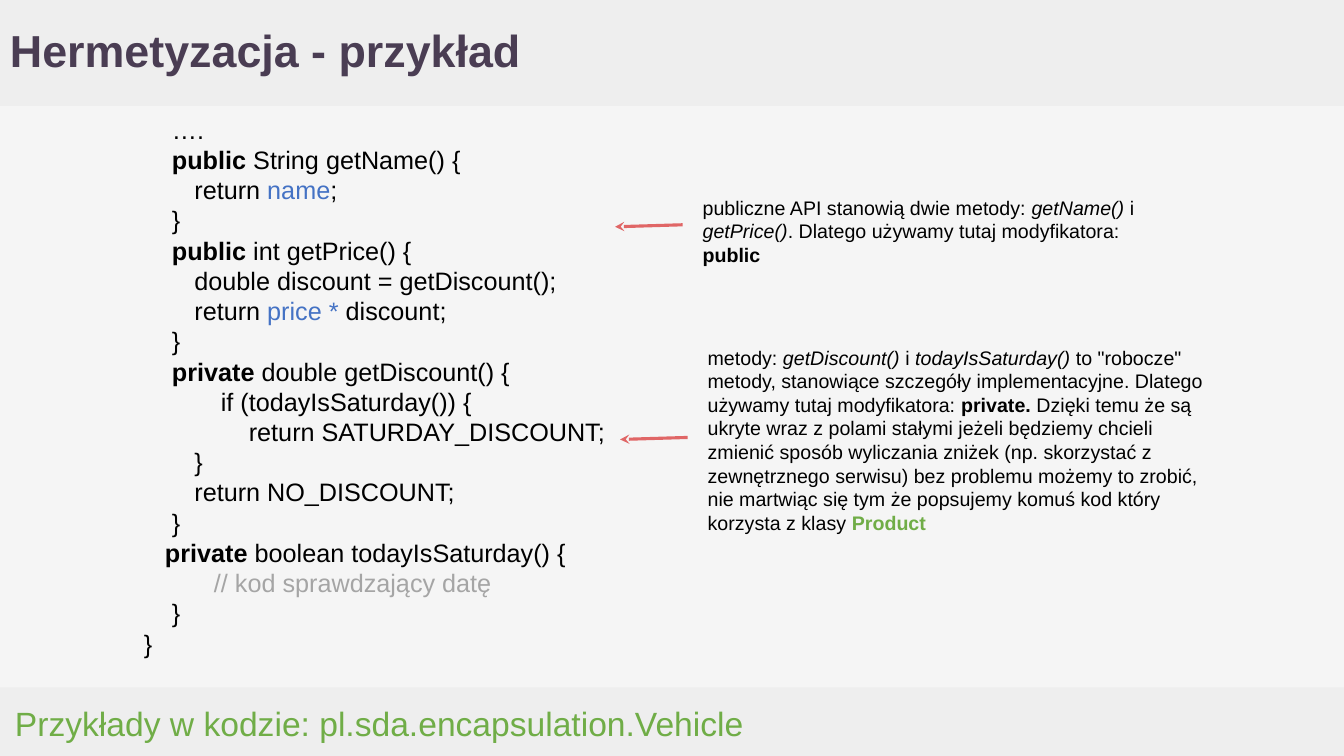
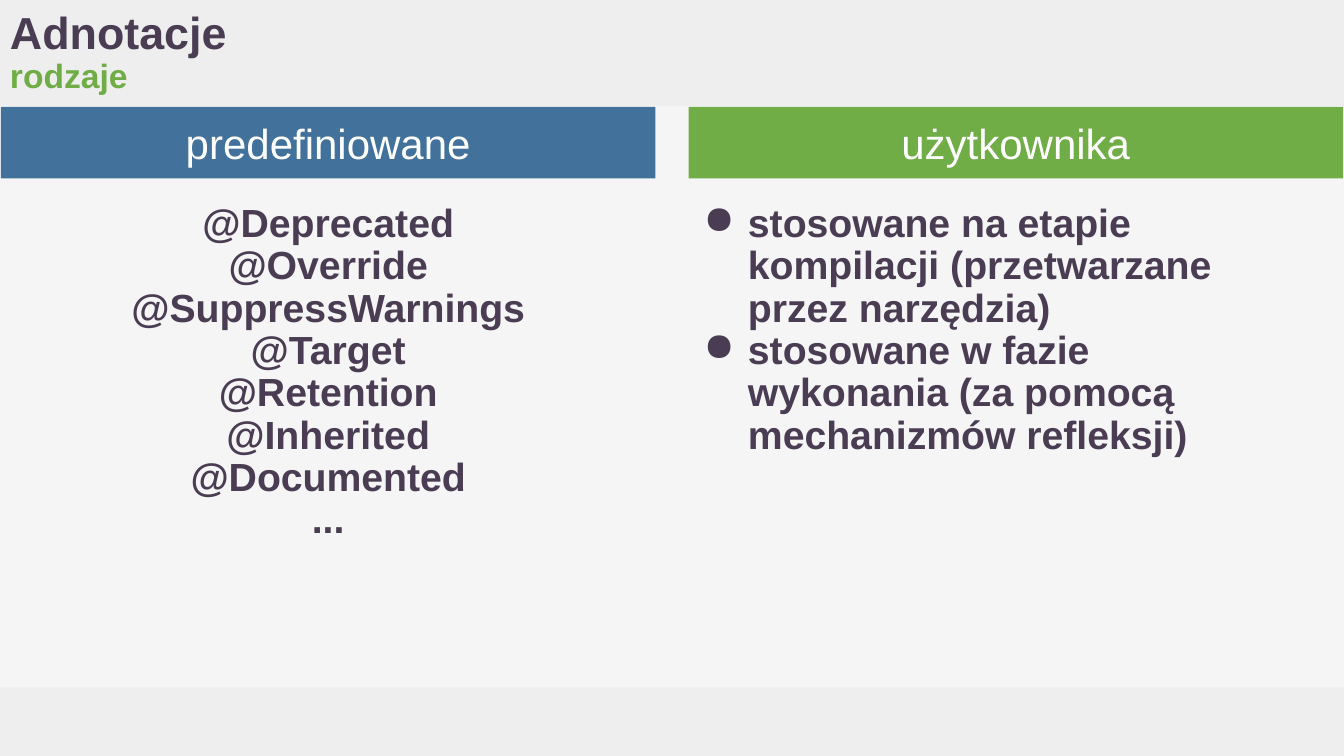
from lxml import etree
from pptx import Presentation
from pptx.dml.color import RGBColor
from pptx.enum import shapes, text
from pptx.oxml import ns
from pptx.util import Inches, Pt

WIDTH, HEIGHT = 13.33, 7.5
HEADER_H, FOOTER_H = 1.05, 0.68
FONT = "Arial"

PAPER = RGBColor(0xF5, 0xF5, 0xF5)
BAND = RGBColor(0xEE, 0xEE, 0xEE)
PLUM = RGBColor(0x4A, 0x3D, 0x53)
GREEN = RGBColor(0x70, 0xAD, 0x47)
STEEL = RGBColor(0x42, 0x71, 0x9B)
BLUE = RGBColor(0x44, 0x72, 0xC4)
GREY = RGBColor(0xA5, 0xA5, 0xA5)
RED = RGBColor(0xE0, 0x66, 0x66)
BLACK = RGBColor(0, 0, 0)
WHITE = RGBColor(0xFF, 0xFF, 0xFF)

# Run styles that differ from the style of the box
BOLD = {"bold": True}
ITALIC = {"italic": True}
FIELD = {"color": BLUE}
COMMENT = {"color": GREY}
SUBTITLE = {"color": GREEN, "size": 24}
CLASS_NAME = {"color": GREEN, "bold": True}

LEFT, CENTER = text.PP_ALIGN.LEFT, text.PP_ALIGN.CENTER
TOP, MIDDLE = text.MSO_ANCHOR.TOP, text.MSO_ANCHOR.MIDDLE

# A line is a list of runs; a run is a string or a (string, style) pair
CODE = [
    ["    …."],
    ["    ", ("public ", BOLD), "String getName() {"],
    ["\treturn ", ("name", FIELD), ";"],
    ["    }"],
    ["    ", ("public ", BOLD), "int getPrice() {"],
    ["\tdouble discount = getDiscount();"],
    ["\treturn ", ("price * ", FIELD), "discount;"],
    ["    }"],
    ["    ", ("private ", BOLD), "double getDiscount() {"],
    ["           if (todayIsSaturday()) {"],
    ["               return SATURDAY_DISCOUNT;"],
    ["\t}"],
    ["\treturn NO_DISCOUNT;"],
    ["    }"],
    ["   ", ("private ", BOLD), "boolean todayIsSaturday() {"],
    ["          ", ("// kod sprawdzający datę", COMMENT)],
    ["    }"],
    ["}"],
]

PUBLIC_NOTE = [
    "publiczne API stanowią dwie metody: ", ("getName()", ITALIC), " i ",
    ("getPrice()", ITALIC), ". Dlatego używamy tutaj modyfikatora: ",
    ("public", BOLD),
]

PRIVATE_NOTE = [
    "metody: ", ("getDiscount()", ITALIC), " i ",
    ("todayIsSaturday() ", ITALIC),
    "to \"robocze\" metody, stanowiące szczegóły implementacyjne. "
    "Dlatego używamy tutaj modyfikatora: ",
    ("private. ", BOLD),
    "Dzięki temu że są ukryte wraz z polami stałymi jeżeli będziemy chcieli "
    "zmienić sposób wyliczania zniżek (np. skorzystać z zewnętrznego serwisu) "
    "bez problemu możemy to zrobić, nie martwiąc się tym że popsujemy komuś "
    "kod który korzysta z klasy ",
    ("Product", CLASS_NAME),
]

PREDEFINED = [[name] for name in (
    "@Deprecated", "@Override", "@SuppressWarnings", "@Target",
    "@Retention", "@Inherited", "@Documented", "...")]

CUSTOM = [
    ["stosowane na etapie kompilacji (przetwarzane przez narzędzia)"],
    ["stosowane w fazie wykonania (za pomocą mechanizmów refleksji)"],
]


def add_bullet(p, color):
    pPr = p._p.get_or_add_pPr()
    pPr.set("marL", str(Inches(0.5)))
    pPr.set("indent", str(Inches(-0.44)))
    buClr = etree.SubElement(pPr, ns.qn("a:buClr"))
    etree.SubElement(buClr, ns.qn("a:srgbClr"), val=str(color))
    etree.SubElement(pPr, ns.qn("a:buChar"), char="●")


def fill_text(sp, lines, size, color, bold=False, align=LEFT, anchor=TOP,
              spacing=None, bullets=False):
    tf = sp.text_frame
    tf.word_wrap = True
    tf.vertical_anchor = anchor
    tf.margin_left = tf.margin_right = Inches(0.1)
    tf.margin_top = tf.margin_bottom = Inches(0.1)
    for i, line in enumerate(lines):
        p = tf.add_paragraph() if i else tf.paragraphs[0]
        if bullets:
            add_bullet(p, color)
        p.alignment = align
        p.line_spacing = spacing
        for run in line:
            words, style = (run, {}) if isinstance(run, str) else run
            r = p.add_run()
            r.text = words
            r.font.name = FONT
            r.font.size = Pt(style.get("size", size))
            r.font.bold = style.get("bold", bold)
            r.font.italic = style.get("italic", False)
            r.font.color.rgb = style.get("color", color)


def add_text(s, x, y, w, h, lines, size, color, **options):
    sp = s.shapes.add_textbox(Inches(x), Inches(y), Inches(w), Inches(h))
    fill_text(sp, lines, size, color, **options)


def add_rect(s, x, y, w, h, color):
    sp = s.shapes.add_shape(shapes.MSO_SHAPE.RECTANGLE,
                            Inches(x), Inches(y), Inches(w), Inches(h))
    sp.shadow.inherit = False
    sp.fill.solid()
    sp.fill.fore_color.rgb = color
    sp.line.fill.background()
    return sp


def add_arrow(s, x1, y1, x2, y2):
    """Arrow whose head is at its first end."""
    line = s.shapes.add_connector(shapes.MSO_CONNECTOR.STRAIGHT,
                                  Inches(x1), Inches(y1), Inches(x2), Inches(y2))
    line.line.color.rgb = RED
    line.line.width = Pt(2.25)
    etree.SubElement(line.line._get_or_add_ln(), ns.qn("a:headEnd"), type="stealth")
    etree.SubElement(line._element.spPr, ns.qn("a:effectLst"))


def add_slide(prs, title):
    """Blank slide with the shared bands and title."""
    s = prs.slides.add_slide(prs.slide_layouts[6])
    add_rect(s, 0, HEIGHT - FOOTER_H, WIDTH, FOOTER_H, BAND)
    add_rect(s, 0, 0, WIDTH, HEADER_H, BAND)
    add_text(s, 0, 0, 11.92, HEADER_H, title, 32, PLUM,
             bold=True, anchor=MIDDLE, spacing=0.9)
    return s


def add_note(s, x, y, w, h, runs, arrow_y):
    """Remark with an arrow pointing left to the code."""
    add_arrow(s, x - 0.77, y + arrow_y, x - 0.1, y + arrow_y - 0.02)
    add_text(s, x, y, w, h, [runs], 14, BLACK)


def add_column(s, x, y, w, heading, color, lines, body_w, **options):
    """Coloured heading with a list below it."""
    head = add_rect(s, x, y, w, 0.71, color)
    fill_text(head, [[heading]], 30, WHITE, align=CENTER, anchor=MIDDLE)
    add_text(s, x - 0.01, y + 0.86, body_w, 4.73, lines, 28, PLUM,
             bold=True, spacing=0.9, **options)


def encapsulation_slide(prs):
    s = add_slide(prs, [["Hermetyzacja - przykład"]])
    add_text(s, 1.33, 1.03, 5.2, 5.89, CODE, 18, BLACK)
    add_note(s, 6.87, 1.84, 4.49, 0.75, PUBLIC_NOTE, arrow_y=0.41)
    add_note(s, 6.92, 3.33, 5.16, 2.21, PRIVATE_NOTE, arrow_y=1.03)
    add_text(s, 0.05, 6.84, 12.75, 0.66,
             [["Przykłady w kodzie: pl.sda.encapsulation.Vehicle"]],
             24, GREEN, anchor=MIDDLE)


def annotations_slide(prs):
    s = add_slide(prs, [["Adnotacje"], [("rodzaje", SUBTITLE)]])
    margin, column_w = 0.01, 6.49
    add_column(s, margin, 1.06, column_w, "predefiniowane", STEEL,
               PREDEFINED, 6.51, align=CENTER)
    add_column(s, WIDTH - margin - column_w, 1.06, column_w, "użytkownika", GREEN,
               CUSTOM, 6.14, bullets=True)


def main():
    prs = Presentation()
    prs.slide_width, prs.slide_height = Inches(WIDTH), Inches(HEIGHT)
    background = prs.slide_master.background.fill
    background.solid()
    background.fore_color.rgb = PAPER
    encapsulation_slide(prs)
    annotations_slide(prs)
    prs.save("out.pptx")


if __name__ == "__main__":
    main()
